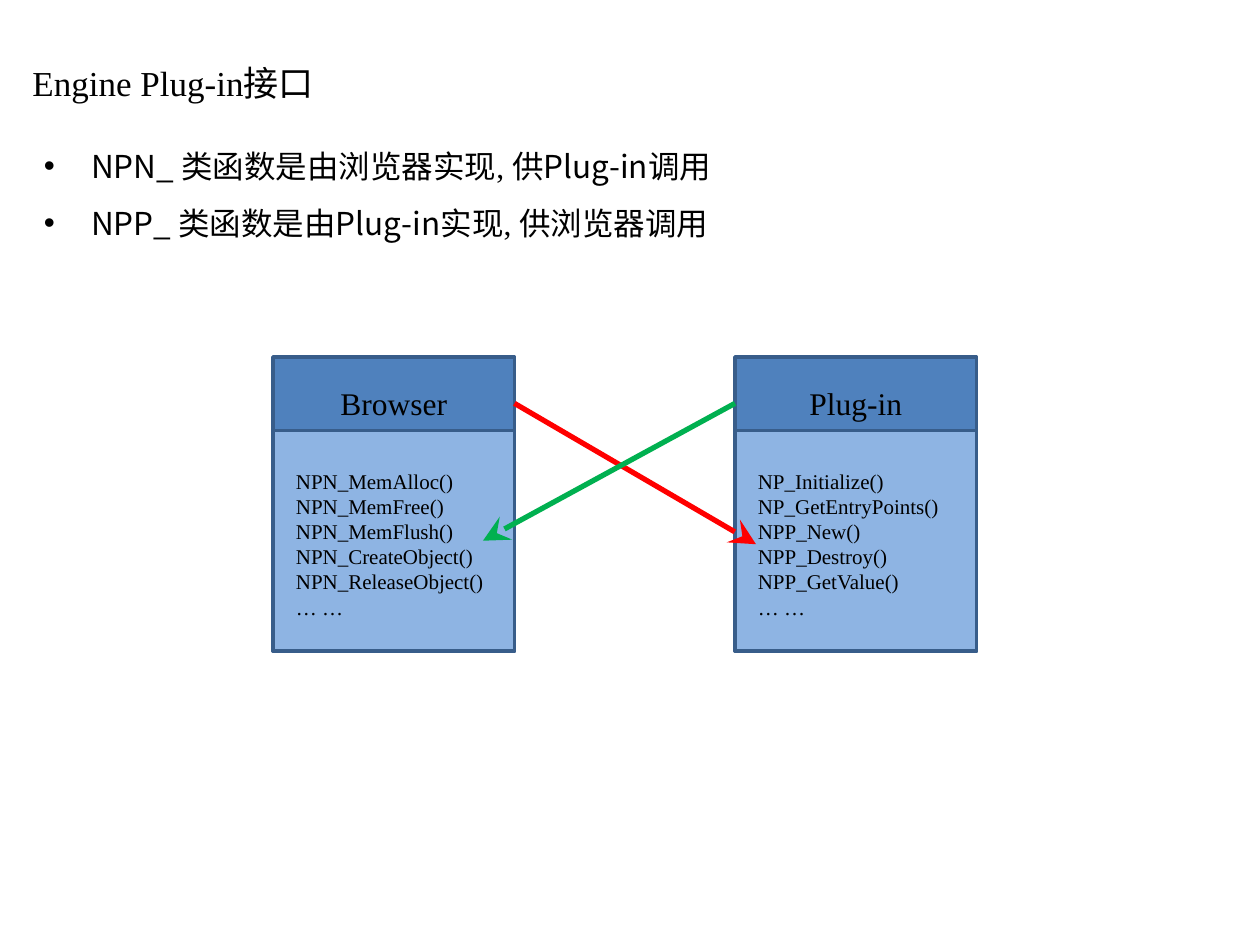
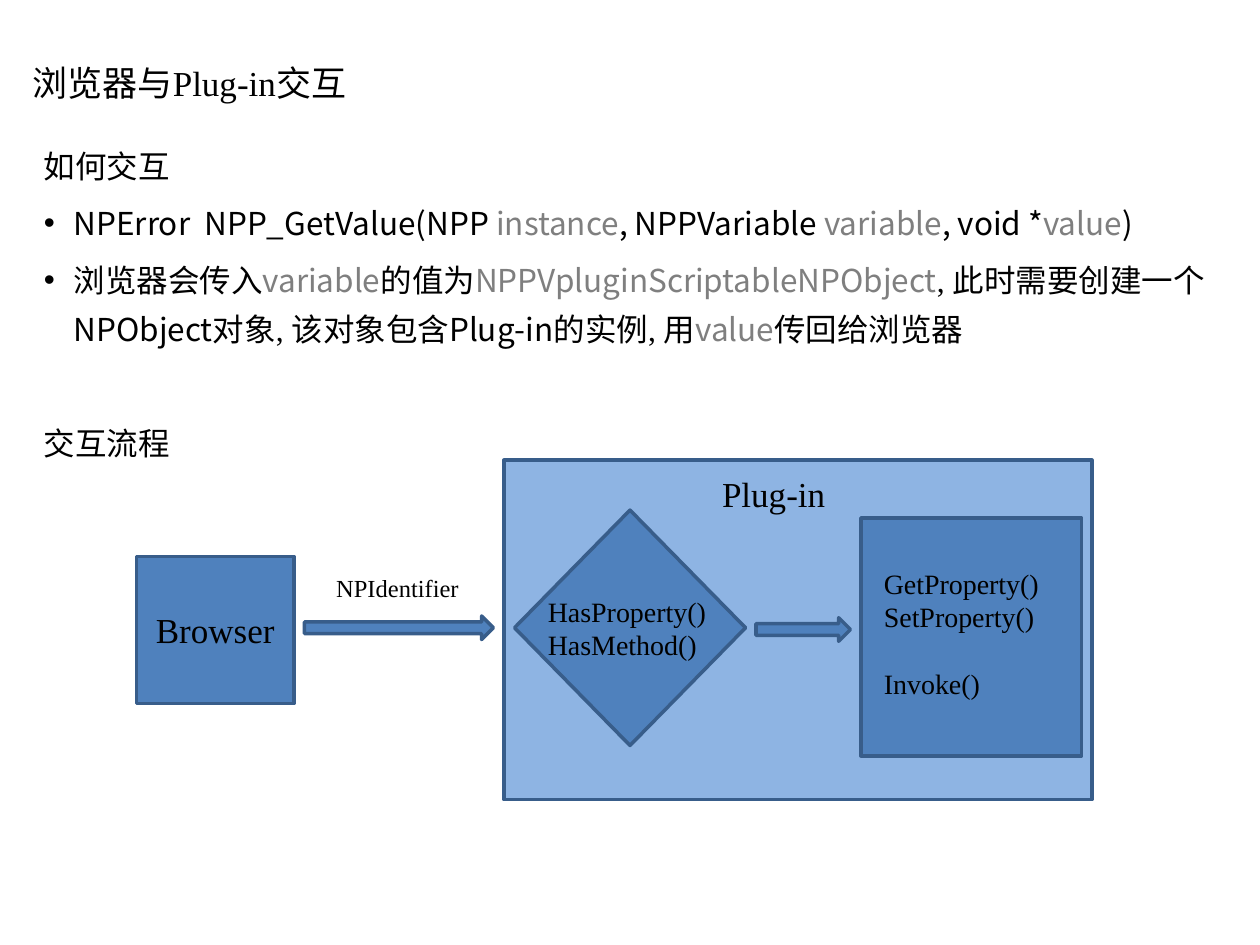
from lxml.etree import SubElement
from pptx import Presentation
from pptx.dml.color import RGBColor
from pptx.enum.shapes import MSO_CONNECTOR, MSO_SHAPE
from pptx.enum.text import MSO_ANCHOR, PP_ALIGN
from pptx.oxml.ns import qn
from pptx.util import Pt

SERIF, SANS = "Times New Roman", "Noto Sans CJK SC"
BLACK, GREY = "000000", "7F7F7F"
BLUE, LIGHT_BLUE, EDGE = "4F81BD", "8EB4E3", "385D8A"
RED, GREEN = "FF0000", "00B050"
COMMA = (", ", {"font": SERIF})


def rgb(hex_colour):
    return RGBColor.from_string(hex_colour)


def grey(word):
    return word, {"colour": GREY}


def add_run(paragraph, text, size=18, font=SERIF, colour=BLACK):
    run = paragraph.add_run()
    run.text = text
    run.font.size = Pt(size)
    run.font.name = font
    run.font.color.rgb = rgb(colour)
    SubElement(run.font._element, qn("a:ea"), typeface=SANS)


def write(paragraph, text, align=PP_ALIGN.LEFT, before=0, spacing=None,
          bullet_indent=0, **run_format):
    """Fill a paragraph; text is a string or a list of strings and (string, format) pairs."""
    paragraph.alignment = align
    paragraph.space_before = Pt(before)
    if spacing:
        paragraph.line_spacing = spacing
    if bullet_indent:
        properties = paragraph._p.get_or_add_pPr()
        properties.set("marL", str(Pt(bullet_indent)))
        properties.set("indent", str(-Pt(bullet_indent)))
        SubElement(properties, qn("a:buFont"), typeface="Arial")
        SubElement(properties, qn("a:buChar"), char="•")
    for part in [text] if isinstance(text, str) else text:
        words, changes = (part, {}) if isinstance(part, str) else part
        add_run(paragraph, words, **{**run_format, **changes})


class Deck:
    def __init__(self):
        self.presentation = Presentation()
        self.presentation.slide_width = Pt(720)
        self.presentation.slide_height = Pt(540)
        self.slide = None

    def new_slide(self, title):
        self.slide = self.presentation.slides.add_slide(self.presentation.slide_layouts[6])
        self.text([title], 11.5, 28, 698, 38, anchor=MSO_ANCHOR.MIDDLE, size=20)

    def text(self, lines, left, top, width, height, anchor=MSO_ANCHOR.TOP, **text_format):
        """Each line is its text, or a (text, format) pair for a line that differs."""
        frame = self.slide.shapes.add_textbox(Pt(left), Pt(top), Pt(width), Pt(height)).text_frame
        frame.word_wrap = True
        frame.vertical_anchor = anchor
        for index, line in enumerate(lines):
            paragraph = frame.add_paragraph() if index else frame.paragraphs[0]
            content, changes = line if isinstance(line, tuple) else (line, {})
            write(paragraph, content, **{**text_format, **changes})

    def body(self, lines):
        self.text(lines, 18, 74, 684, 423, font=SANS, before=4.5, spacing=1.3)

    def shape(self, kind, left, top, width, height, fill=BLUE, label=None, **text_format):
        shape = self.slide.shapes.add_shape(kind, Pt(left), Pt(top), Pt(width), Pt(height))
        shape.shadow.inherit = False
        shape.fill.solid()
        shape.fill.fore_color.rgb = rgb(fill)
        shape.line.color.rgb = rgb(EDGE)
        shape.line.width = Pt(2)
        if label:
            shape.text_frame.vertical_anchor = MSO_ANCHOR.MIDDLE
            write(shape.text_frame.paragraphs[0], label, align=PP_ALIGN.CENTER, **text_format)

    def arrow(self, x1, y1, x2, y2, colour):
        arrow = self.slide.shapes.add_connector(
            MSO_CONNECTOR.STRAIGHT, Pt(x1), Pt(y1), Pt(x2), Pt(y2))
        arrow.line.color.rgb = rgb(colour)
        arrow.line.width = Pt(3)
        SubElement(arrow.line._get_or_add_ln(), qn("a:tailEnd"), type="stealth", w="lg", len="lg")
        SubElement(arrow._element.spPr, qn("a:effectLst"))

    def class_box(self, left, name, functions):
        top, width, header, members = 204, 138, 42, 126
        self.shape(MSO_SHAPE.RECTANGLE, left, top, width, header + members)
        self.shape(MSO_SHAPE.RECTANGLE, left, top + header, width, members, LIGHT_BLUE)
        self.text([name], left + 6, top + 12, 126, 29, align=PP_ALIGN.CENTER)
        self.text(functions + ["… …"], left + 6, top + 60, 132, 94, size=12)


def interface_slide(deck):
    deck.new_slide("Engine Plug-in接口")
    bullet = {"bullet_indent": 27}
    deck.body([
        (["NPN_ 类函数是由浏览器实现", COMMA, "供Plug-in调用"], bullet),
        (["NPP_ 类函数是由Plug-in实现", COMMA, "供浏览器调用"], bullet),
    ])

    # The two sides and the functions each one implements
    deck.class_box(156, "Browser", [
        "NPN_MemAlloc()", "NPN_MemFree()", "NPN_MemFlush()",
        "NPN_CreateObject()", "NPN_ReleaseObject()"])
    deck.class_box(420, "Plug-in", [
        "NP_Initialize()", "NP_GetEntryPoints()", "NPP_New()",
        "NPP_Destroy()", "NPP_GetValue()"])

    # Calls across
    deck.arrow(294, 230.5, 432, 311, RED)
    deck.arrow(420, 230.5, 276, 309, GREEN)


def interaction_slide(deck):
    deck.new_slide("浏览器与Plug-in交互")
    bullet = {"bullet_indent": 17}
    deck.body([
        "如何交互",
        (["NPError  NPP_GetValue(NPP ", grey("instance"), ", NPPVariable ", grey("variable"),
          ", void *", grey("value"), ")"], bullet),
        (["浏览器会传入", grey("variable"), "的值为", grey("NPPVpluginScriptableNPObject"), COMMA,
          "此时需要创建一个NPObject对象", COMMA, "该对象包含Plug-in的实例", COMMA,
          "用", grey("value"), "传回给浏览器"], bullet),
        ("交互流程", {"before": 37}),
    ])

    # Browser and the identifier it sends
    deck.shape(MSO_SHAPE.RECTANGLE, 288, 263, 336, 194, LIGHT_BLUE)
    deck.shape(MSO_SHAPE.FLOWCHART_PROCESS, 78, 318, 90, 84, label="Browser", size=20)
    deck.shape(MSO_SHAPE.RIGHT_ARROW, 174, 352, 108, 13.5)
    deck.text(["NPIdentifier"], 185, 324, 96, 24.5, size=14)

    # Inside the plug-in: check, then access
    deck.text(["Plug-in"], 405.5, 266.5, 93, 31.5, size=20)
    deck.shape(MSO_SHAPE.FLOWCHART_DECISION, 294, 291.5, 132, 134.5)
    deck.text(["HasProperty()", "HasMethod()"], 306, 336, 114, 46, size=16)
    deck.shape(MSO_SHAPE.RIGHT_ARROW, 432, 353, 54, 13.5)
    deck.shape(MSO_SHAPE.RECTANGLE, 492, 296, 126, 136)
    deck.text(["GetProperty()", "SetProperty()", ("Invoke()", {"before": 19})],
              498, 320, 108, 84, size=16)


def main():
    deck = Deck()
    interface_slide(deck)
    interaction_slide(deck)
    deck.presentation.save("out.pptx")


if __name__ == "__main__":
    main()
